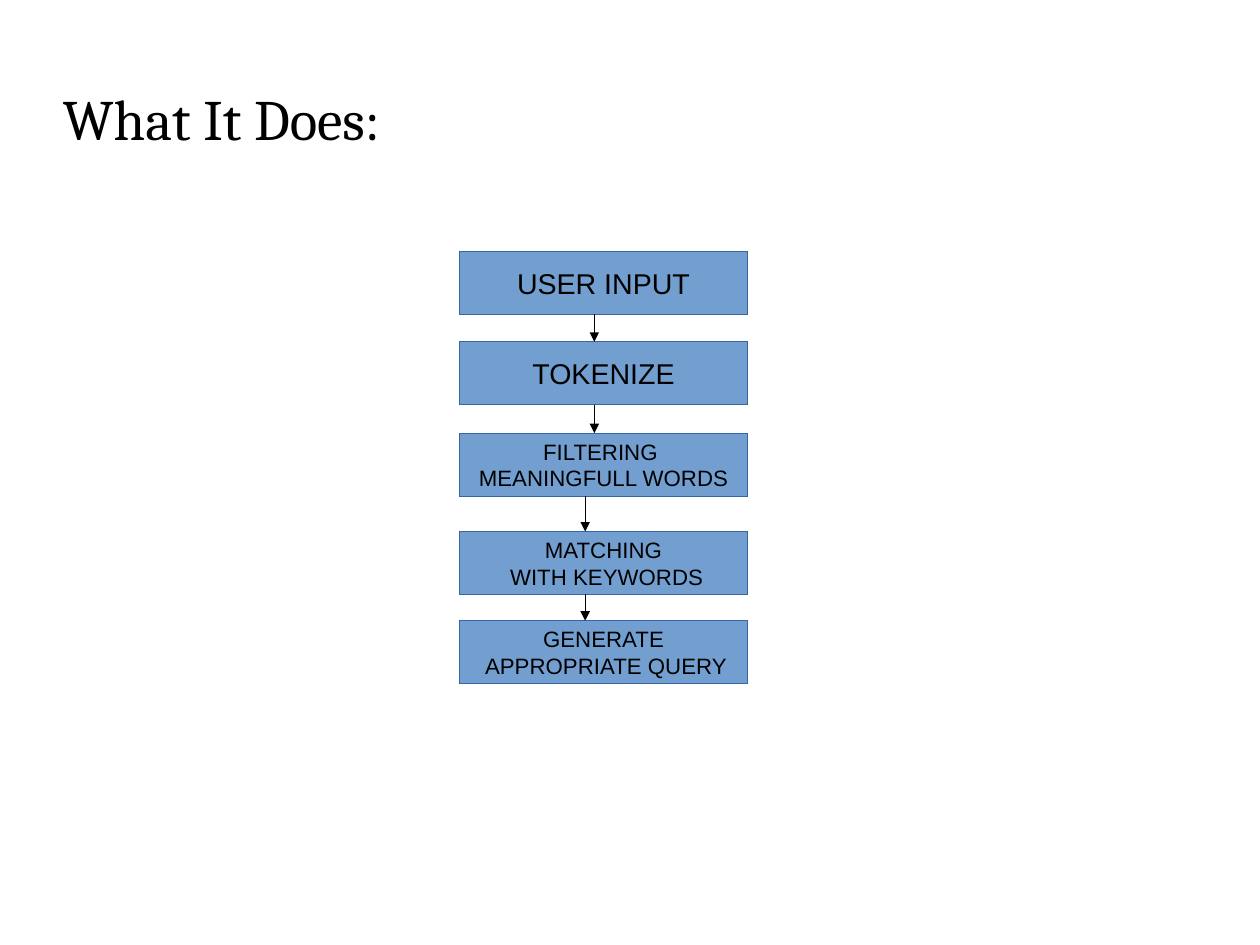
"""Build a slide that shows a query pipeline as a column of linked steps."""
from dataclasses import dataclass
from itertools import pairwise

from lxml import etree
from pptx import Presentation
from pptx.dml.color import RGBColor
from pptx.enum.shapes import MSO_CONNECTOR, MSO_SHAPE
from pptx.enum.text import MSO_ANCHOR, MSO_AUTO_SIZE, PP_ALIGN
from pptx.oxml.ns import qn
from pptx.shapes.autoshape import Shape
from pptx.shapes.connector import Connector
from pptx.slide import Slide
from pptx.text.text import TextFrame
from pptx.util import Inches, Pt

RECT = MSO_SHAPE.RECTANGLE
LINE = MSO_CONNECTOR.STRAIGHT
MIDDLE = MSO_ANCHOR.MIDDLE
GROW = MSO_AUTO_SIZE.SHAPE_TO_FIT_TEXT
LEFT, CENTER = PP_ALIGN.LEFT, PP_ALIGN.CENTER

BLACK = RGBColor(0x00, 0x00, 0x00)
BLUE = RGBColor(0x72, 0x9F, 0xCF)
NAVY = RGBColor(0x34, 0x65, 0xA4)

CM = 1 / 2.54
PAGE_W, PAGE_H = 28 * CM, 21 * CM
BOX_X, BOX_W, BOX_H = 4.02, 2.52, 0.55


@dataclass(frozen=True)
class Step:
    top: float
    size: int
    lines: tuple[str, ...]
    exit_x: float = 0


STEPS = (
    Step(2.2, 18, ("USER INPUT",), 5.2),
    Step(2.99, 18, ("TOKENIZE",), 5.2),
    Step(3.79, 14, ("FILTERING ", "MEANINGFULL WORDS"), 5.12),
    Step(4.65, 14, ("MATCHING", " WITH KEYWORDS"), 5.12),
    Step(5.43, 14, ("GENERATE", " APPROPRIATE QUERY")),
)


def write(frame: TextFrame, lines: tuple[str, ...], font: str, size: int,
          align: PP_ALIGN) -> None:
    frame.vertical_anchor = MIDDLE
    for i, text in enumerate(lines):
        para = frame.add_paragraph() if i else frame.paragraphs[0]
        para.alignment = align
        run = para.add_run()
        run.text = text
        run.font.name = font
        run.font.size = Pt(size)
        run.font.color.rgb = BLACK


def trace(item: Shape | Connector, color: RGBColor) -> None:
    item.element.remove(item.element.find(qn("p:style")))
    item.line.color.rgb = color
    item.line.width = Pt(0)


def add_title(slide: Slide, text: str) -> None:
    title = slide.shapes.title
    title.left, title.top = Inches(0.55), Inches(0.63)
    title.width, title.height = Inches(7.87), Inches(0.79)
    frame = title.text_frame
    frame.margin_left = frame.margin_right = Inches(0)
    frame.margin_top = frame.margin_bottom = Inches(0)
    frame.word_wrap = True
    frame.auto_size = GROW
    write(frame, (text,), "Cambria", 36, LEFT)


def add_box(slide: Slide, step: Step) -> None:
    box = slide.shapes.add_shape(RECT, Inches(BOX_X), Inches(step.top),
                                 Inches(BOX_W), Inches(BOX_H))
    box.shadow.inherit = False
    box.fill.solid()
    box.fill.fore_color.rgb = BLUE
    trace(box, NAVY)
    box.text_frame.word_wrap = False
    write(box.text_frame, step.lines, "Arial", step.size, CENTER)


def add_arrow(slide: Slide, start: Step, end: Step) -> None:
    x = Inches(start.exit_x)
    arrow = slide.shapes.add_connector(LINE, x, Inches(start.top + BOX_H),
                                       x, Inches(end.top))
    trace(arrow, BLACK)
    props = arrow.element.spPr
    etree.SubElement(props.find(qn("a:ln")), qn("a:tailEnd"), type="triangle")
    etree.SubElement(props, qn("a:effectLst"))


def main() -> None:
    deck = Presentation()
    deck.slide_width, deck.slide_height = Inches(PAGE_W), Inches(PAGE_H)
    slide = deck.slides.add_slide(deck.slide_layouts.get_by_name("Title Only"))
    add_title(slide, "What It Does:")
    for step in STEPS:
        add_box(slide, step)
    for start, end in pairwise(STEPS):
        add_arrow(slide, start, end)
    deck.save("out.pptx")


main()
